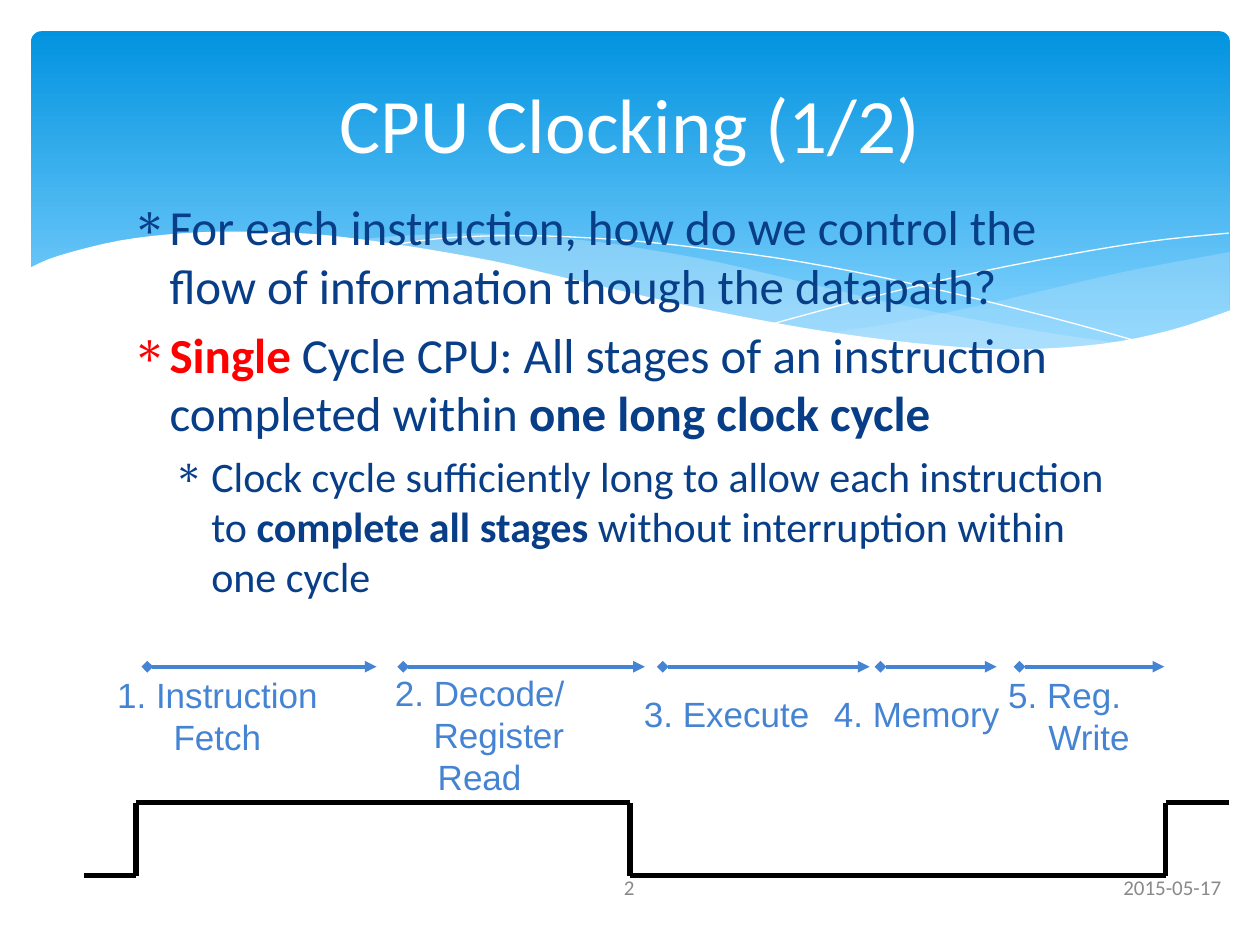
import itertools

import lxml.etree
import pptx
import pptx.dml.color
import pptx.enum.shapes
import pptx.enum.text
import pptx.oxml.ns
import pptx.util

Cm = pptx.util.Cm
Pt = pptx.util.Pt
RGBColor = pptx.dml.color.RGBColor
Align = pptx.enum.text.PP_ALIGN
Anchor = pptx.enum.text.MSO_ANCHOR

WHITE = RGBColor(0xFF, 0xFF, 0xFF)
BLACK = RGBColor(0, 0, 0)
RED = RGBColor(0xFF, 0, 0)
NAVY = RGBColor(0x07, 0x3E, 0x87)
BLUE = RGBColor(0x45, 0x84, 0xD3)
GRAY = RGBColor(0x89, 0x89, 0x89)
SKY_TOP = RGBColor(0x02, 0x93, 0xE0)
SKY_BOTTOM = RGBColor(0x83, 0xD3, 0xFE)
PALE = RGBColor(0xC6, 0xE7, 0xFC)

RIGHT_SWELL = [(24.79, 5.08), (23.01, 5.41), (21.87, 5.66), (19.79, 6.15), (17.93, 6.53),
               (16.79, 6.73), (17.91, 6.88), (19.23, 7.01), (20.4, 7.06), (21.69, 7.01),
               (22.99, 6.83), (23.93, 6.58), (24.79, 6.27)]
LONG_SWELL = [(22.68, 6.93), (21.26, 6.73), (19.69, 6.45), (17.93, 6.1), (15.98, 5.64),
              (14.45, 5.28), (13.06, 5.03), (11.81, 4.85), (10.13, 4.72), (8.74, 4.72),
              (7.26, 4.85), (8.69, 5.05), (10.26, 5.36), (11.4, 5.64), (13.46, 6.1),
              (15.27, 6.48), (17.27, 6.81), (19, 7.01), (20.78, 7.06), (22.68, 6.93)]
FALLING_LINE = [(7.85, 4.95), (8.97, 4.8), (10.57, 4.75), (12.42, 4.83), (14.12, 5),
                (16.15, 5.28), (18.47, 5.74), (21.11, 6.38), (23.04, 6.91)]
RISING_LINE = [(15.57, 6.53), (17.65, 5.97), (19.71, 5.49), (22, 5.05), (23.47, 4.83),
               (24.77, 4.7)]
WHITE_WAVE = [(0.58, 5.41), (1.17, 5.16), (2.41, 4.85), (3.71, 4.7), (4.9, 4.67),
              (6.35, 4.72), (8.03, 4.93), (9.93, 5.26), (11.35, 5.59), (13.44, 6.07),
              (15.32, 6.45), (16.97, 6.73), (18.9, 6.96), (20.55, 7.04), (22.23, 6.93),
              (23.62, 6.65), (24.82, 6.25)]

BULLETS = [
    (0, 28, [("For each instruction, how do we control the flow of information "
              "though the datapath?", {})]),
    (0, 28, [("Single ", {"bold": True, "color": RED}),
             ("Cycle CPU: All stages of an instruction completed within ", {}),
             ("one long clock cycle", {"bold": True})]),
    (1, 24, [("Clock cycle sufficiently long to allow each instruction to ", {}),
             ("complete all stages", {"bold": True}),
             (" without interruption within one cycle", {})]),
]
STEPS = [
    ((2.97, 7.59), (2.11, 13.44, 4.55, 1.96), [("1. Instruction", 0), ("Fetch", 0)]),
    ((8.13, 13), (7.7, 13.42, 3.94, 2.79),
     [("2. Decode/", 0), ("Register", 0.78), ("Read", 0)]),
    ((13.36, 17.53), (12.73, 13.84, 3.84, 1.09), [("3. Execute", 0)]),
    ((17.75, 20.09), (16.56, 13.84, 3.84, 1.09), [("4. Memory", 0)]),
    ((20.55, 23.47), (19.89, 13.44, 3.15, 1.96), [("5. Reg.", 0), ("Write", 0.98)]),
]
STEP_Y = 13.44
LOW, HIGH = 17.65, 16.18
CLOCK = [(1.7, LOW), (2.74, LOW), (2.74, HIGH), (12.7, HIGH), (12.7, LOW),
         (23.5, LOW), (23.5, HIGH), (24.77, HIGH)]


def add_child(parent, tag, **attributes):
    return lxml.etree.SubElement(parent, pptx.oxml.ns.qn(tag), attributes)


def add_text(paragraph, text, size=20, font="Calibri", color=NAVY, bold=False):
    run = paragraph.add_run()
    run.text = text
    run.font.size = Pt(size)
    run.font.name = font
    run.font.color.rgb = color
    run.font.bold = bold


def smooth(points, steps=4):
    curve = [points[0]]
    padded = [points[0], *points, points[-1]]
    for a, b, c, d in zip(padded, padded[1:], padded[2:], padded[3:]):
        for t in (step / steps for step in range(1, steps + 1)):
            curve.append(tuple(
                (2 * q + (r - p) * t + (2 * p - 5 * q + 4 * r - s) * t ** 2
                 + (3 * q - p - 3 * r + s) * t ** 3) / 2
                for p, q, r, s in zip(a, b, c, d)))
    return curve


class SlideBuilder:
    """Holds the style and the current slide, and draws each kind of element."""

    def __init__(self, slide):
        self.slide = slide
        self.shapes = slide.shapes

    def banner(self, left, top, width, height):
        shape = self.shapes.add_shape(pptx.enum.shapes.MSO_SHAPE.ROUNDED_RECTANGLE,
                                      Cm(left), Cm(top), Cm(width), Cm(height))
        shape.adjustments[0] = 0.03
        shape.shadow.inherit = False
        shape.line.fill.background()
        shape.fill.gradient()
        shape.fill.gradient_angle = 270
        stops = zip(shape.fill.gradient_stops, (0, 0.9), (SKY_TOP, SKY_BOTTOM))
        for stop, position, color in stops:
            stop.position = position
            stop.color.rgb = color

    def outline(self, points, fill=None, opacity=100):
        points = [(Cm(x), Cm(y)) for x, y in points]
        builder = self.shapes.build_freeform(*points[0])
        builder.add_line_segments(points[1:], close=fill is not None)
        shape = builder.convert_to_shape()
        shape.shadow.inherit = False
        if fill is None:
            shape.fill.background()
            shape.line.color.rgb = WHITE
            shape.line.width = Pt(0)
            return
        shape.line.fill.background()
        shape.fill.solid()
        shape.fill.fore_color.rgb = fill
        if opacity < 100:
            color = shape.fill._xPr.find(".//" + pptx.oxml.ns.qn("a:srgbClr"))
            add_child(color, "a:alpha", val=str(opacity * 1000))

    def text_box(self, left, top, width, height, anchor=Anchor.MIDDLE, wrap=True):
        box = self.shapes.add_textbox(Cm(left), Cm(top), Cm(width), Cm(height))
        frame = box.text_frame
        frame.word_wrap = wrap
        frame.vertical_anchor = anchor
        return frame

    def label(self, bounds, text, align=Align.CENTER, **style):
        paragraph = self.text_box(*bounds).paragraphs[0]
        paragraph.alignment = align
        add_text(paragraph, text, **style)

    def bullets(self, bounds, items):
        frame = self.text_box(*bounds, anchor=Anchor.TOP)
        for index, (level, size, runs) in enumerate(items):
            paragraph = frame.add_paragraph() if index else frame.paragraphs[0]
            paragraph.level = level
            paragraph.space_before = Pt(size * 0.2)
            properties = paragraph._p.get_or_add_pPr()
            properties.set("marL", str(Cm(0.76 + 0.84 * level)))
            properties.set("indent", str(Cm(-0.76)))
            add_child(properties, "a:buFont", typeface="Symbol")
            add_child(properties, "a:buChar", char="∗")
            for text, style in runs:
                add_text(paragraph, text, size=size, **style)

    def step_label(self, bounds, lines):
        frame = self.text_box(*bounds, wrap=False)
        for index, (text, indent) in enumerate(lines):
            paragraph = frame.add_paragraph() if index else frame.paragraphs[0]
            paragraph.alignment = Align.CENTER
            if indent:
                paragraph._p.get_or_add_pPr().set("marL", str(Cm(indent)))
            add_text(paragraph, text, font="Arial", color=BLUE)

    def line(self, start, end, color=BLACK, width=3, arrow=False):
        connector = self.shapes.add_connector(
            pptx.enum.shapes.MSO_CONNECTOR.STRAIGHT, *map(Cm, start + end))
        connector.line.color.rgb = color
        connector.line.width = Pt(width)
        if arrow:
            properties = connector.line._get_or_add_ln()
            add_child(properties, "a:headEnd", type="diamond")
            add_child(properties, "a:tailEnd", type="triangle")
        add_child(connector._element.spPr, "a:effectLst")


def main():
    presentation = pptx.Presentation()
    presentation.slide_width = Cm(25.4)
    presentation.slide_height = Cm(19.05)
    builder = SlideBuilder(presentation.slides.add_slide(presentation.slide_layouts[6]))

    builder.banner(0.63, 0.63, 24.16, 6.86)
    builder.outline(smooth(RIGHT_SWELL), fill=PALE, opacity=29)
    builder.outline(smooth(LONG_SWELL), fill=PALE, opacity=40)
    builder.outline(smooth(FALLING_LINE))
    builder.outline(smooth(RISING_LINE))
    builder.outline(smooth(WHITE_WAVE) + [(24.82, 8.36), (0.58, 8.36)], fill=WHITE)

    builder.label((1.27, 0.94, 22.86, 3.07), "CPU Clocking (1/2)", size=44, color=WHITE)
    builder.bullets((2.41, 3.84, 20.57, 9.58), BULLETS)
    builder.label((14.35, 17.37, 10.52, 1.02), "2015-05-17", align=Align.RIGHT,
                  size=12, color=GRAY)
    builder.label((11.07, 17.37, 3.23, 1.02), "2", size=12, color=GRAY)

    for (start, end), bounds, lines in STEPS:
        builder.step_label(bounds, lines)
        builder.line((start, STEP_Y), (end, STEP_Y), color=BLUE, width=2.25, arrow=True)
    for start, end in itertools.pairwise(CLOCK):
        builder.line(start, end)

    presentation.save("out.pptx")


if __name__ == "__main__":
    main()
